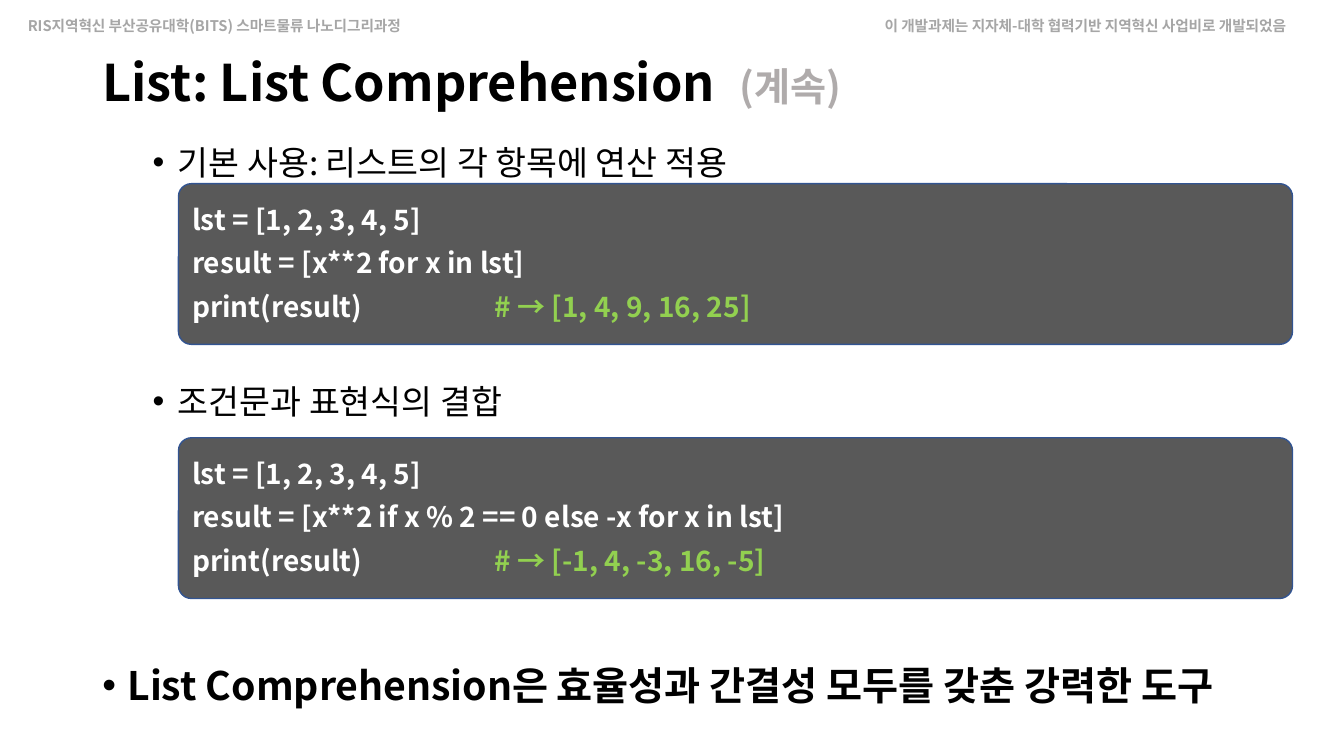
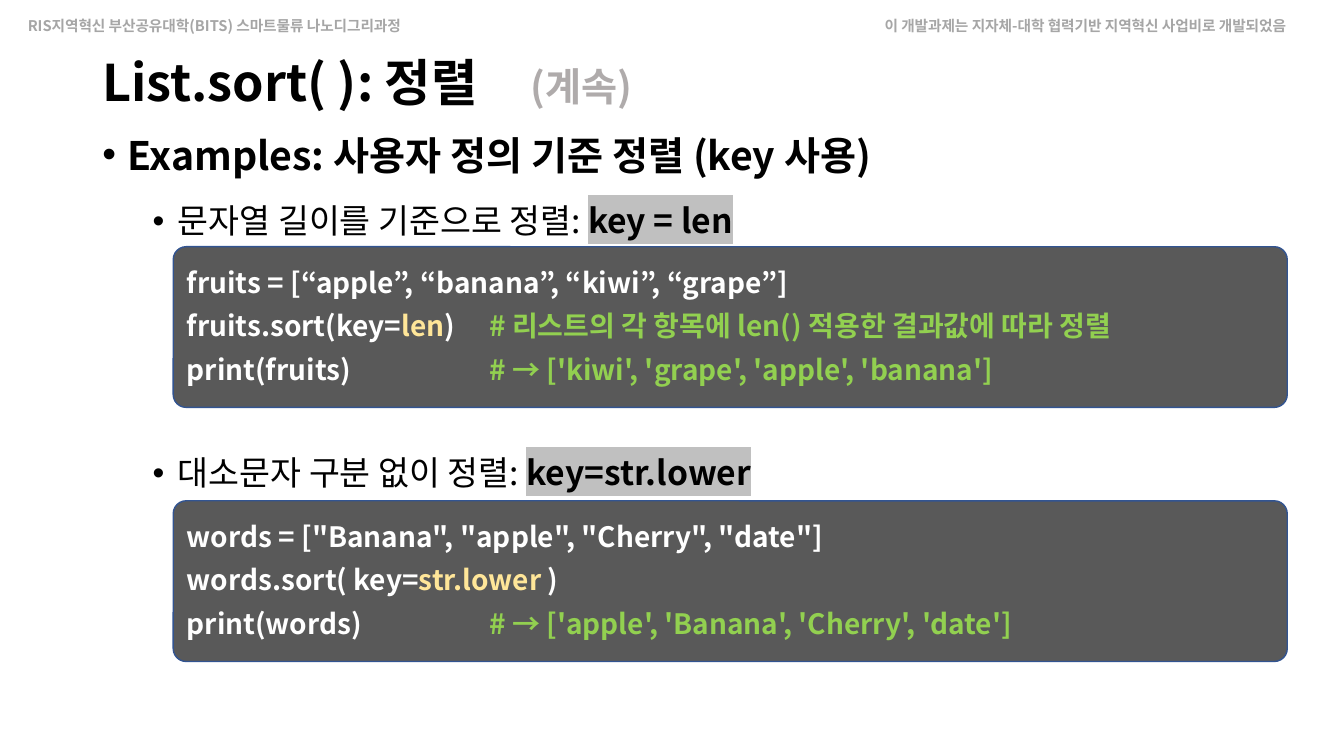
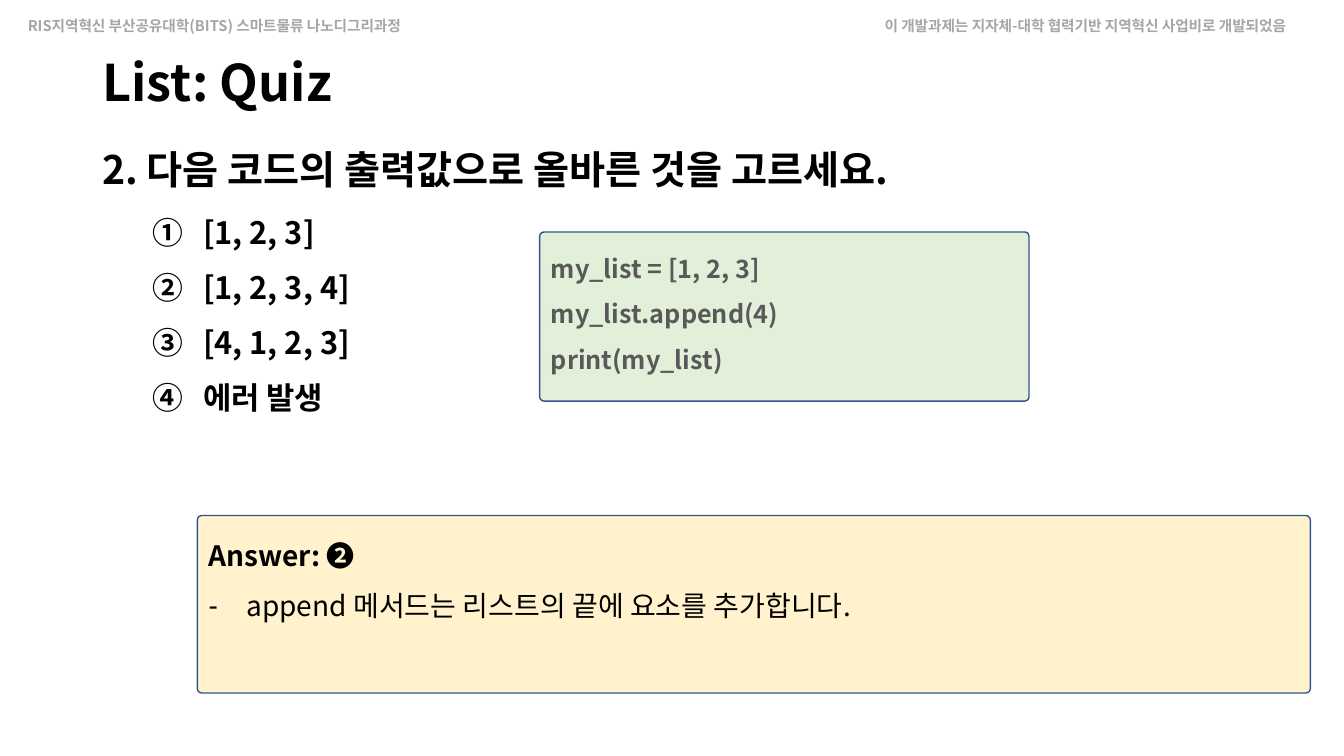
from lxml.etree import SubElement
from pptx import Presentation
from pptx.dml.color import RGBColor
from pptx.enum.shapes import MSO_SHAPE
from pptx.enum.text import MSO_ANCHOR, MSO_AUTO_SIZE, PP_ALIGN
from pptx.oxml.ns import qn
from pptx.util import Emu, Pt

FONT = "Noto Sans CJK KR"
BLACK, WHITE, GRAY = "000000", "FFFFFF", "595959"
MUTED, HEADER, SILVER = "AFABAB", "A6A6A6", "C0C0C0"
GREEN, YELLOW, OUTLINE = "92D050", "FFE699", "325491"
MINT, CREAM = "E2F0D9", "FFF2CC"
TITLE_ONLY = 5
BODY_LEFT, BODY_WIDTH = 88, 1160
CODE_WIDTH, CODE_HEIGHT, COMMENT_TAB = 1061, 153, 288


def px(length):
    """Turn pixels into EMU, at 96 to the inch."""
    return Emu(length * 9525)


def rgb(value):
    """Turn a hex string into a colour."""
    return RGBColor.from_string(value)


def write(paragraph, text, size=24, color=BLACK, bold=False, highlight=None):
    """Add one formatted run to a paragraph."""
    run = paragraph.add_run()
    run.text = text
    font = run.font
    font.size, font.bold = Pt(size), bold
    font.color.rgb = rgb(color)
    properties = font._element
    if highlight:
        SubElement(SubElement(properties, qn("a:highlight")), qn("a:srgbClr"), val=highlight)
    font.name = FONT
    SubElement(properties, qn("a:ea"), typeface=FONT)


def add_bullet(paragraph, tag, margin, indent, **attributes):
    """Give a paragraph a bullet and a hanging indent."""
    properties = paragraph._p.get_or_add_pPr()
    properties.set("marL", str(px(margin)))
    properties.set("indent", str(-px(indent)))
    if tag == "a:buChar":
        SubElement(properties, qn("a:buFont"), typeface="Arial")
    SubElement(properties, qn(tag), **attributes)


def add_tab(paragraph, position):
    """Set one left tab stop."""
    tabs = SubElement(paragraph._p.get_or_add_pPr(), qn("a:tabLst"))
    SubElement(tabs, qn("a:tab"), pos=str(px(position)), algn="l")


def add_box(slide, left, top, width, height, anchor=MSO_ANCHOR.TOP):
    """Add a wrapping text box and return its text frame."""
    frame = slide.shapes.add_textbox(px(left), px(top), px(width), px(height)).text_frame
    frame.word_wrap = True
    frame.vertical_anchor = anchor
    return frame


def add_panel(slide, left, top, width, height, fill, corner):
    """Add an outlined rounded panel and return its text frame."""
    panel = slide.shapes.add_shape(
        MSO_SHAPE.ROUNDED_RECTANGLE, px(left), px(top), px(width), px(height))
    panel.adjustments[0] = corner
    panel.shadow.inherit = False
    panel.fill.solid()
    panel.fill.fore_color.rgb = rgb(fill)
    panel.line.color.rgb = rgb(OUTLINE)
    panel.line.width = Pt(1)
    panel.text_frame.word_wrap = True
    panel.text_frame.vertical_anchor = MSO_ANCHOR.TOP
    return panel.text_frame


def add_lines(frame, count, line_spacing, space_before=0):
    """Yield the left-aligned paragraphs of a frame."""
    for index in range(count):
        paragraph = frame.add_paragraph() if index else frame.paragraphs[0]
        paragraph.alignment = PP_ALIGN.LEFT
        paragraph.line_spacing = line_spacing
        if index and space_before:
            paragraph.space_before = Pt(space_before)
        yield paragraph


def add_base(presentation, title, suffix=None, suffix_tab=0):
    """Add a slide with its title and the two header lines."""
    slide = presentation.slides.add_slide(presentation.slide_layouts[TITLE_ONLY])
    shape = slide.shapes.title
    shape.left, shape.top, shape.width, shape.height = map(px, (BODY_LEFT, 38, 1104, 86))
    frame = shape.text_frame
    frame.auto_size = MSO_AUTO_SIZE.NONE
    frame.vertical_anchor = MSO_ANCHOR.MIDDLE
    paragraph = next(add_lines(frame, 1, 0.9))
    if suffix:
        add_tab(paragraph, suffix_tab)
    write(paragraph, title, size=36, bold=True)
    if suffix:
        write(paragraph, "\t" + suffix, size=28, color=MUTED, bold=True)
    for left, width, text in (
        (17, 407, "RIS지역혁신 부산공유대학(BITS) 스마트물류 나노디그리과정"),
        (833, 447, "이 개발과제는 지자체-대학 협력기반 지역혁신 사업비로 개발되었음"),
    ):
        header = add_box(slide, left, 11, width, 27)
        write(header.paragraphs[0], text, size=10.5, color=HEADER, bold=True)
    return slide


def add_heading(slide, middle, text, level=0, bullet=True, key=None):
    """Add a one-line heading centred on a height."""
    frame = add_box(slide, BODY_LEFT, middle - 30, BODY_WIDTH, 60, MSO_ANCHOR.MIDDLE)
    paragraph = frame.paragraphs[0]
    if bullet:
        add_bullet(paragraph, "a:buChar", 24 + 48 * level, 24, char="•")
    write(paragraph, text, size=24 if level else 28, bold=not level)
    if key:
        write(paragraph, key, bold=True, highlight=SILVER)


def add_code(slide, left, top, lines):
    """Add a dark code panel whose lines are lists of text and colour."""
    frame = add_panel(slide, left, top, CODE_WIDTH, CODE_HEIGHT, GRAY, 0.08)
    for paragraph, parts in zip(add_lines(frame, len(lines), Pt(31)), lines):
        add_tab(paragraph, COMMENT_TAB)
        for text, color in parts:
            write(paragraph, text, size=20, color=color, bold=True)


def add_choices(slide, left, top, choices):
    """Add the numbered answers of a quiz."""
    frame = add_box(slide, left, top, 400, 230)
    for paragraph, choice in zip(add_lines(frame, len(choices), 1.3, 5), choices):
        add_bullet(paragraph, "a:buAutoNum", 96, 48, type="circleNumDbPlain")
        write(paragraph, choice, size=22, bold=True)


def add_quiz_code(slide, left, top, lines):
    """Add the light code panel of a quiz."""
    frame = add_panel(slide, left, top, 466, 161, MINT, 0.025)
    for paragraph, line in zip(add_lines(frame, len(lines), 1.5), lines):
        write(paragraph, line, size=18, color=GRAY, bold=True)


def add_answer(slide, left, top, answer, reason):
    """Add the answer panel of a quiz."""
    frame = add_panel(slide, left, top, 1060, 169, CREAM, 0.025)
    answer_line, reason_line = add_lines(frame, 2, 1.5)
    write(answer_line, answer, size=20, bold=True)
    add_bullet(reason_line, "a:buChar", 36, 36, char="-")
    write(reason_line, reason, size=20)


def build_comprehension(presentation):
    """Build the list comprehension slide."""
    slide = add_base(presentation, "List: List Comprehension", "(계속)", 607)
    examples = (
        (154, 175, "기본 사용: 리스트의 각 항목에 연산 적용",
         "result = [x**2 for x in lst]", "# → [1, 4, 9, 16, 25]"),
        (382, 417, "조건문과 표현식의 결합",
         "result = [x**2 if x % 2 == 0 else -x for x in lst]", "# → [-1, 4, -3, 16, -5]"),
    )
    for middle, top, heading, expression, output in examples:
        add_heading(slide, middle, heading, level=1)
        add_code(slide, 170, top, [
            [("lst = [1, 2, 3, 4, 5]", WHITE)],
            [(expression, WHITE)],
            [("print(result)", WHITE), ("\t" + output, GREEN)],
        ])
    add_heading(slide, 652, "List Comprehension은 효율성과 간결성 모두를 갖춘 강력한 도구")


def build_sort(presentation):
    """Build the sorting slide."""
    slide = add_base(presentation, "List.sort( ): 정렬", "(계속)", 408)
    add_heading(slide, 147, "Examples: 사용자 정의 기준 정렬 (key 사용)")
    add_heading(slide, 210, "문자열 길이를 기준으로 정렬: ", level=1, key="key = len\t")
    add_code(slide, 165, 235, [
        [("fruits = [“apple”, “banana”, “kiwi”, “grape”]", WHITE)],
        [("fruits.sort(key=", WHITE), ("len", YELLOW), (")", WHITE),
         ("\t# 리스트의 각 항목에 len() 적용한 결과값에 따라 정렬", GREEN)],
        [("print(fruits)", WHITE), ("\t# → ['kiwi', 'grape', 'apple', 'banana']", GREEN)],
    ])
    add_heading(slide, 450, "대소문자 구분 없이 정렬: ", level=1, key="key=str.lower")
    add_code(slide, 165, 477, [
        [('words = ["Banana", "apple", "Cherry", "date"]', WHITE)],
        [("words.sort( key=", WHITE), ("str.lower ", YELLOW), (")", WHITE)],
        [("print(words)", WHITE), ("\t# → ['apple', 'Banana', 'Cherry', 'date']", GREEN)],
    ])


def build_quiz(presentation):
    """Build the quiz slide."""
    slide = add_base(presentation, "List: Quiz")
    add_heading(slide, 161, "2. 다음 코드의 출력값으로 올바른 것을 고르세요.", bullet=False)
    add_choices(slide, BODY_LEFT, 188, ["[1, 2, 3]", "[1, 2, 3, 4]", "[4, 1, 2, 3]", "에러 발생"])
    add_answer(slide, 188, 491, "Answer: ❷", "append 메서드는 리스트의 끝에 요소를 추가합니다.")
    add_quiz_code(slide, 514, 221, ["my_list = [1, 2, 3]", "my_list.append(4)", "print(my_list)"])


def main():
    """Build and save the presentation."""
    presentation = Presentation()
    presentation.slide_width, presentation.slide_height = px(1280), px(720)
    build_comprehension(presentation)
    build_sort(presentation)
    build_quiz(presentation)
    presentation.save("out.pptx")


if __name__ == "__main__":
    main()
